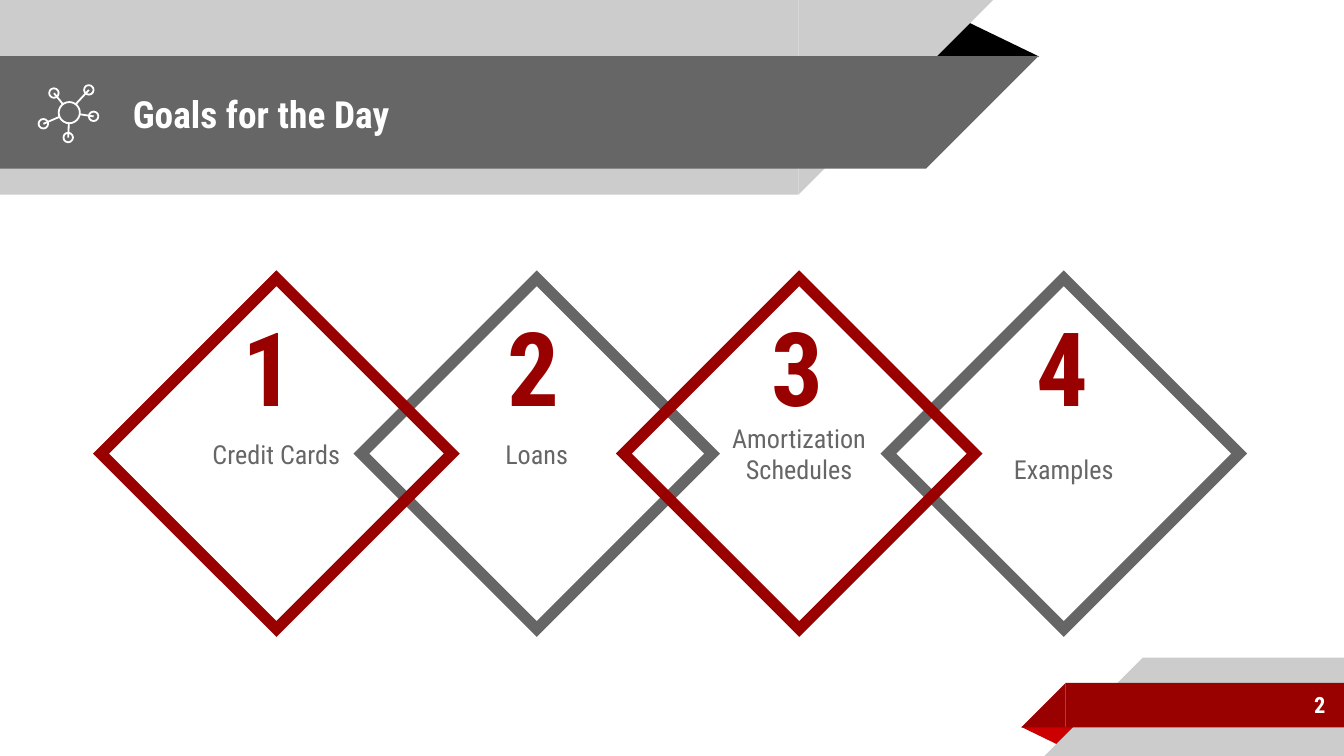
from lxml import etree
from pptx import Presentation
from pptx.dml.color import RGBColor
from pptx.enum.shapes import MSO_CONNECTOR, MSO_SHAPE
from pptx.enum.text import MSO_ANCHOR, MSO_AUTO_SIZE, PP_ALIGN
from pptx.oxml.ns import qn
from pptx.util import Cm, Pt

FONT = "Roboto Condensed"
WHITE = RGBColor(0xFF, 0xFF, 0xFF)
BLACK = RGBColor(0x00, 0x00, 0x00)
LIGHT_GREY = RGBColor(0xCC, 0xCC, 0xCC)
DARK_GREY = RGBColor(0x66, 0x66, 0x66)
DARK_RED = RGBColor(0x99, 0x00, 0x00)
BRIGHT_RED = RGBColor(0xCC, 0x00, 0x00)

RECTANGLE, OVAL, DIAMOND = MSO_SHAPE.RECTANGLE, MSO_SHAPE.OVAL, MSO_SHAPE.DIAMOND
TRIANGLE, RIGHT_TRIANGLE = MSO_SHAPE.ISOSCELES_TRIANGLE, MSO_SHAPE.RIGHT_TRIANGLE
STRAIGHT = MSO_CONNECTOR.STRAIGHT
MIDDLE, BOTTOM = MSO_ANCHOR.MIDDLE, MSO_ANCHOR.BOTTOM
LEFT, CENTER, RIGHT = PP_ALIGN.LEFT, PP_ALIGN.CENTER, PP_ALIGN.RIGHT
NO_AUTOFIT = MSO_AUTO_SIZE.NONE

SLIDE_WIDTH = 25.4
INSET = 0.25
DIAMOND_TOP, DIAMOND_SIZE = 5.26, 6.63
NUMBER_LEFT, NUMBER_STEP = 4.34, 5.0
# Number, label, left edge, outline, fill and extra top inset, from back to front.
GOALS = [
    (2, "Loans", 6.83, DARK_GREY, WHITE, 0),
    (1, "Credit Cards", 1.91, DARK_RED, None, 0),
    (4, "Examples", 16.79, DARK_GREY, WHITE, 0.6),
    (3, "Amortization\nSchedules", 11.79, DARK_RED, None, 0),
]
HUB_CENTER, HUB_RADIUS, NODE_RADIUS = (1.31, 2.13), 0.2, 0.09
# Centre of each outer node, and where its spoke meets the hub.
SPOKES = [
    ((1.68, 1.70), (1.43, 1.97)),
    ((1.02, 1.76), (1.19, 1.97)),
    ((0.82, 2.34), (1.12, 2.21)),
    ((1.29, 2.60), (1.30, 2.33)),
    ((1.77, 2.20), (1.51, 2.16)),
]


def add_shape(slide, kind, left, top, width, height, fill=None, line=None, weight=1):
    """Add a shadowless preset shape with optional fill and outline."""
    shape = slide.shapes.add_shape(kind, Cm(left), Cm(top), Cm(width), Cm(height))
    shape.shadow.inherit = False
    if fill is None:
        shape.fill.background()
    else:
        shape.fill.solid()
        shape.fill.fore_color.rgb = fill
    if line is None:
        shape.line.fill.background()
    else:
        shape.line.color.rgb = line
        shape.line.width = Pt(weight)
    return shape


def write(frame, text, size, color, align, anchor, bold=False, extra_top=0):
    """Fill a text frame with evenly formatted paragraphs."""
    frame.text = text
    frame.word_wrap = True
    frame.auto_size = NO_AUTOFIT
    frame.vertical_anchor = anchor
    frame.margin_left = frame.margin_right = frame.margin_bottom = Cm(INSET)
    frame.margin_top = Cm(INSET + extra_top)
    for paragraph in frame.paragraphs:
        paragraph.alignment = align
        paragraph.font.name = FONT
        paragraph.font.size = Pt(size)
        paragraph.font.bold = bold
        paragraph.font.color.rgb = color


def add_text(slide, left, top, width, height, *style, **options):
    """Add a text box."""
    box = slide.shapes.add_textbox(Cm(left), Cm(top), Cm(width), Cm(height))
    write(box.text_frame, *style, **options)


def add_fold(slide, left, top, width, height, color, rotation=0):
    """Add the small triangle of a folded ribbon."""
    fold = add_shape(slide, TRIANGLE, left, top, width, height, color)
    fold.adjustments[0] = 0.32
    fold.rotation = rotation


def add_top_band(slide, top, width, height, color):
    """Add a band from the left edge with a slanted right end."""
    add_shape(slide, RECTANGLE, 0, top, width, height, color)
    add_shape(slide, RIGHT_TRIANGLE, width, top, height, height, color).rotation = 90


def add_bottom_band(slide, left, top, height, color):
    """Add a band to the right edge with a slanted left end."""
    body = left + height
    add_shape(slide, RECTANGLE, body, top, SLIDE_WIDTH - body, height, color)
    add_shape(slide, RIGHT_TRIANGLE, left, top, height, height, color).rotation = 270


def add_ring(slide, center, radius):
    """Add a white circle outline around a centre."""
    x, y = center
    add_shape(slide, OVAL, x - radius, y - radius, 2 * radius, 2 * radius,
              line=WHITE, weight=0.96)


def add_spoke(slide, start, end):
    """Add a thin white line."""
    spoke = slide.shapes.add_connector(STRAIGHT, *map(Cm, start + end))
    spoke.line.color.rgb = WHITE
    spoke.line.width = Pt(0.96)
    etree.SubElement(spoke.element.spPr, qn("a:effectLst"))


def add_network_icon(slide):
    """Draw a hub with its outer nodes."""
    add_ring(slide, HUB_CENTER, HUB_RADIUS)
    for node, hub_edge in SPOKES:
        add_ring(slide, node, NODE_RADIUS)
        add_spoke(slide, node, hub_edge)


def add_goal(slide, label, left, outline, fill, extra_top):
    """Add a sharp-cornered diamond holding a goal."""
    goal = add_shape(slide, DIAMOND, left, DIAMOND_TOP, DIAMOND_SIZE, DIAMOND_SIZE,
                     fill, outline, 6)
    etree.SubElement(goal.element.spPr.find(qn("a:ln")), qn("a:miter"), lim="800000")
    write(goal.text_frame, label, 14, DARK_GREY, CENTER, MIDDLE, extra_top=extra_top)


def place_title(slide, text):
    """Move the title placeholder onto the header band."""
    title = slide.shapes.title
    title.left, title.top, title.width, title.height = map(Cm, (2.26, 1.09, 14.6, 2.13))
    write(title.text_frame, text, 20, WHITE, LEFT, MIDDLE, bold=True)
    title.element.getparent().append(title.element)


def main():
    """Build the goals slide."""
    deck = Presentation()
    deck.slide_width, deck.slide_height = Cm(SLIDE_WIDTH), Cm(14.29)
    slide = deck.slides.add_slide(deck.slide_layouts[5])

    add_fold(slide, 17.48, 0.36, 2.16, 0.71, BLACK)
    add_top_band(slide, 0, 15.09, 3.68, LIGHT_GREY)
    add_top_band(slide, 1.06, 17.5, 2.13, DARK_GREY)
    add_fold(slide, 19.3, 13.74, 1.09, 0.36, BRIGHT_RED, 180)
    add_bottom_band(slide, 19.74, 12.43, 1.86, LIGHT_GREY)
    add_bottom_band(slide, 19.3, 12.91, 0.84, DARK_RED)

    place_title(slide, "Goals for the Day")
    add_text(slide, 21.16, 12.88, 4.14, 0.89, "2", 12, WHITE, RIGHT, MIDDLE, bold=True)
    for _, *goal in GOALS:
        add_goal(slide, *goal)
    add_network_icon(slide)
    for number, *_ in sorted(GOALS, key=lambda goal: goal[0]):
        add_text(slide, NUMBER_LEFT + (number - 1) * NUMBER_STEP, 5.54, 1.37, 2.79,
                 str(number), 55, DARK_RED, LEFT, BOTTOM, bold=True)
    deck.save("out.pptx")


if __name__ == "__main__":
    main()
